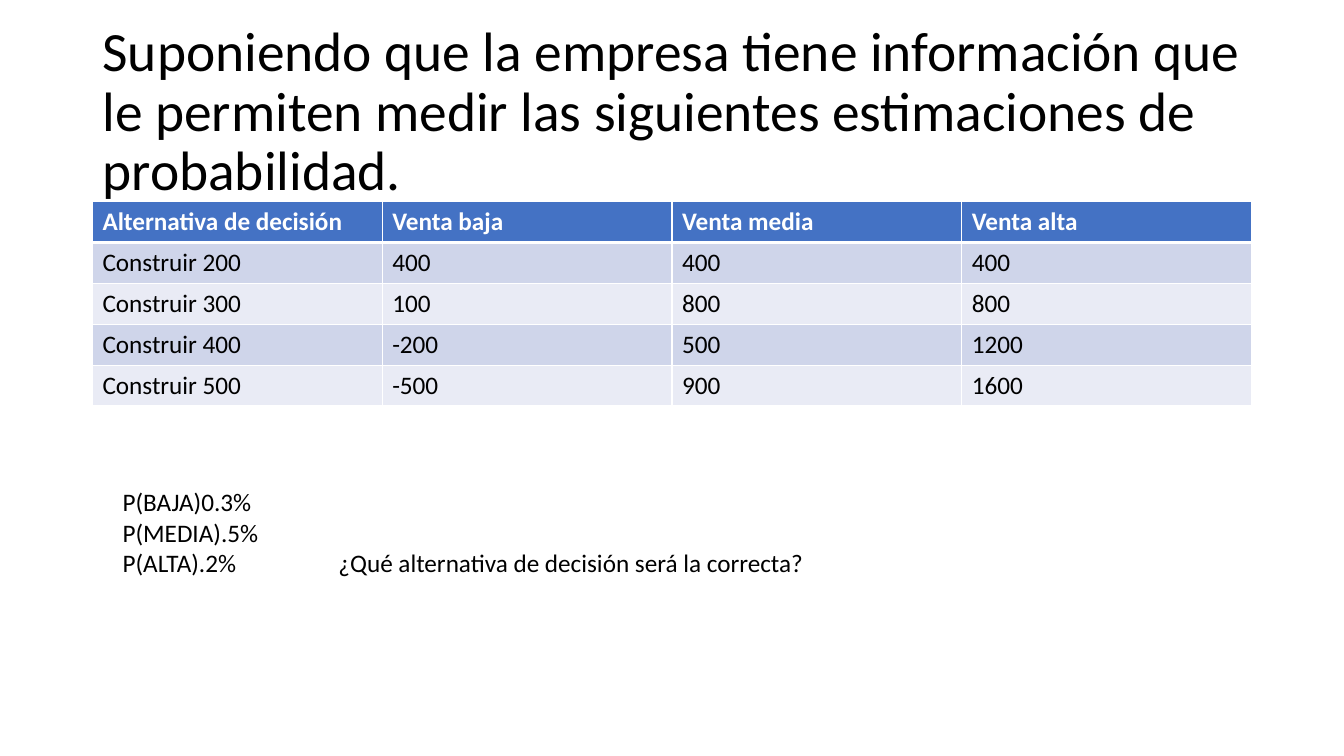
from lxml import etree
from pptx import Presentation
from pptx.dml.color import RGBColor
from pptx.enum.text import MSO_ANCHOR, MSO_AUTO_SIZE, PP_ALIGN
from pptx.oxml.ns import qn
from pptx.util import Cm, Pt

LEFT = PP_ALIGN.LEFT
MIDDLE = MSO_ANCHOR.MIDDLE
NO_AUTOFIT = MSO_AUTO_SIZE.NONE
GROW = MSO_AUTO_SIZE.SHAPE_TO_FIT_TEXT

TITLE_ONLY = 5
FONT = "Calibri"
BLACK, WHITE = "000000", "FFFFFF"
HEADER_FILL = "4472C4"
BAND_FILLS = ("E9EBF5", "CFD5EA")

TITLE = ("Suponiendo que la empresa tiene información que le permiten medir "
         "las siguientes estimaciones de probabilidad.")
PAYOFFS = [
    ("Alternativa de decisión", "Venta baja", "Venta media", "Venta alta"),
    ("Construir 200", "400", "400", "400"),
    ("Construir 300", "100", "800", "800"),
    ("Construir 400", "-200", "500", "1200"),
    ("Construir 500", "-500", "900", "1600"),
]
PROBABILITIES = [
    "P(BAJA)0.3%",
    "P(MEDIA).5%",
    "P(ALTA).2%\t¿Qué alternativa de decisión será la correcta?",
]


def color(hex_string):
    return RGBColor.from_string(hex_string)


def format_runs(paragraph, size, hex_color=BLACK, bold=False):
    for run in paragraph.runs:
        run.font.name = FONT
        run.font.size = Pt(size)
        run.font.bold = bold
        run.font.color.rgb = color(hex_color)


def add_tab_stop(paragraph, position):
    tab_list = etree.SubElement(paragraph._p.get_or_add_pPr(), qn("a:tabLst"))
    etree.SubElement(tab_list, qn("a:tab"), pos=str(position), algn="l")


def set_borders(cell, widths):
    """Draw white borders; widths maps the sides L, R, T, B to points."""
    properties = cell._tc.get_or_add_tcPr()
    for side, width in widths.items():
        line = etree.SubElement(properties, qn(f"a:ln{side}"), w=str(Pt(width)))
        fill = etree.SubElement(line, qn("a:solidFill"))
        etree.SubElement(fill, qn("a:srgbClr"), val=WHITE)


def set_title(slide):
    title = slide.shapes.title
    title.left, title.top = Cm(2.33), Cm(1.01)
    title.width, title.height = Cm(29.21), Cm(3.68)
    frame = title.text_frame
    frame.text = TITLE
    frame.word_wrap = True
    frame.auto_size = NO_AUTOFIT
    frame.vertical_anchor = MIDDLE
    paragraph = frame.paragraphs[0]
    paragraph.alignment = LEFT
    paragraph.line_spacing = 0.9
    format_runs(paragraph, 39.6)


def add_payoff_table(slide):
    row_height = Cm(1.03)
    table = slide.shapes.add_table(
        len(PAYOFFS), len(PAYOFFS[0]), Cm(2.33), Cm(5.08),
        Cm(29.21), row_height * len(PAYOFFS)).table
    for row_index, values in enumerate(PAYOFFS):
        table.rows[row_index].height = row_height
        is_header = row_index == 0
        for column_index, value in enumerate(values):
            cell = table.cell(row_index, column_index)
            cell.text = value
            format_runs(cell.text_frame.paragraphs[0], 18,
                        WHITE if is_header else BLACK, is_header)
            set_borders(cell, {"L": 1, "R": 1,
                               "T": 3 if row_index == 1 else 1,
                               "B": 3 if is_header else 1})
            cell.fill.solid()
            cell.fill.fore_color.rgb = color(
                HEADER_FILL if is_header else BAND_FILLS[row_index % 2])


def add_probabilities(slide):
    frame = slide.shapes.add_textbox(
        Cm(2.84), Cm(12.14), Cm(22.45), Cm(2.57)).text_frame
    frame.word_wrap = True
    frame.auto_size = GROW
    frame.text = "\n".join(PROBABILITIES)
    for paragraph in frame.paragraphs:
        format_runs(paragraph, 18)
    add_tab_stop(frame.paragraphs[-1], Cm(5.44))


def main():
    presentation = Presentation()
    presentation.slide_width = Cm(33.87)
    presentation.slide_height = Cm(19.05)
    slide = presentation.slides.add_slide(presentation.slide_layouts[TITLE_ONLY])
    set_title(slide)
    add_payoff_table(slide)
    add_probabilities(slide)
    presentation.save("out.pptx")


if __name__ == "__main__":
    main()
